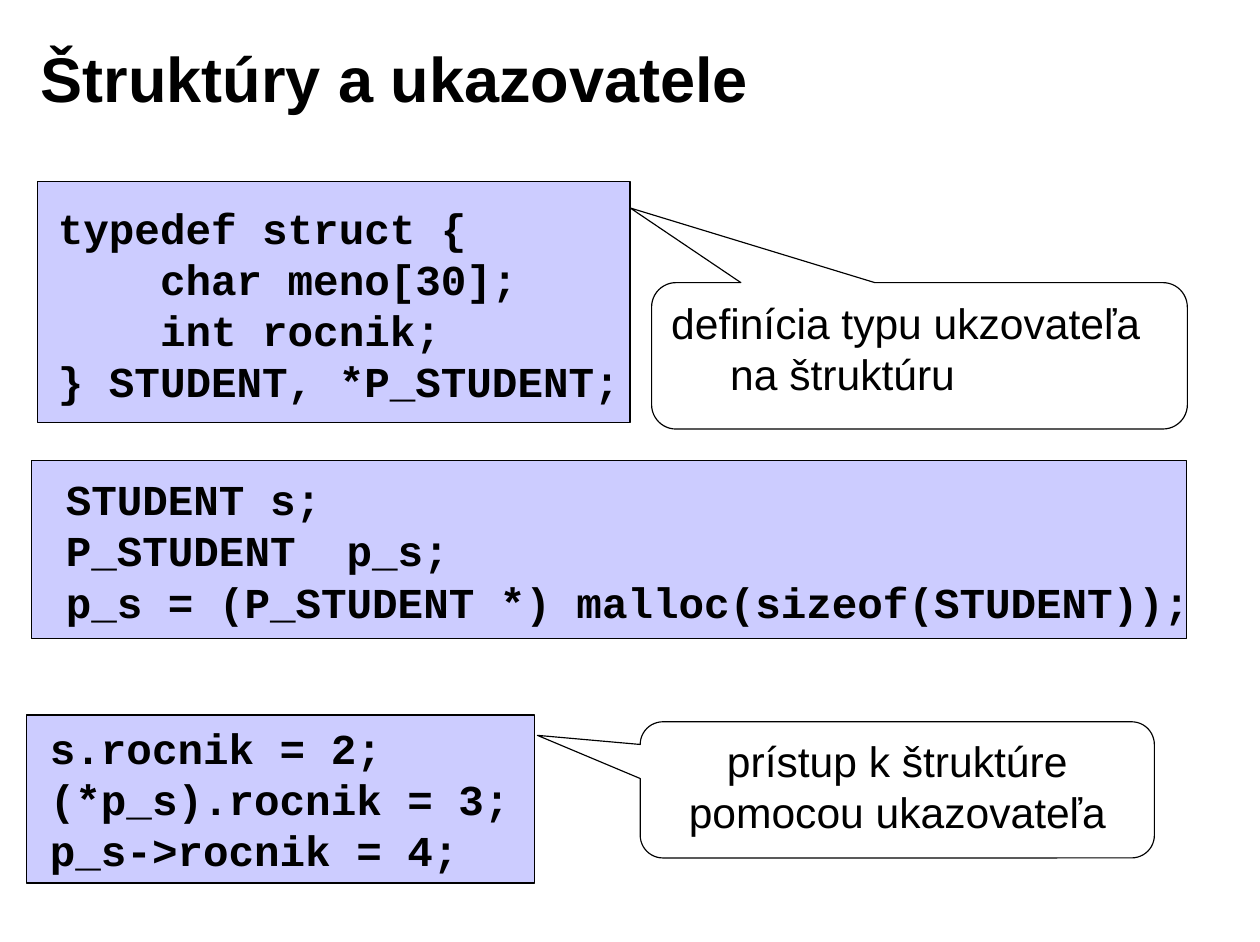
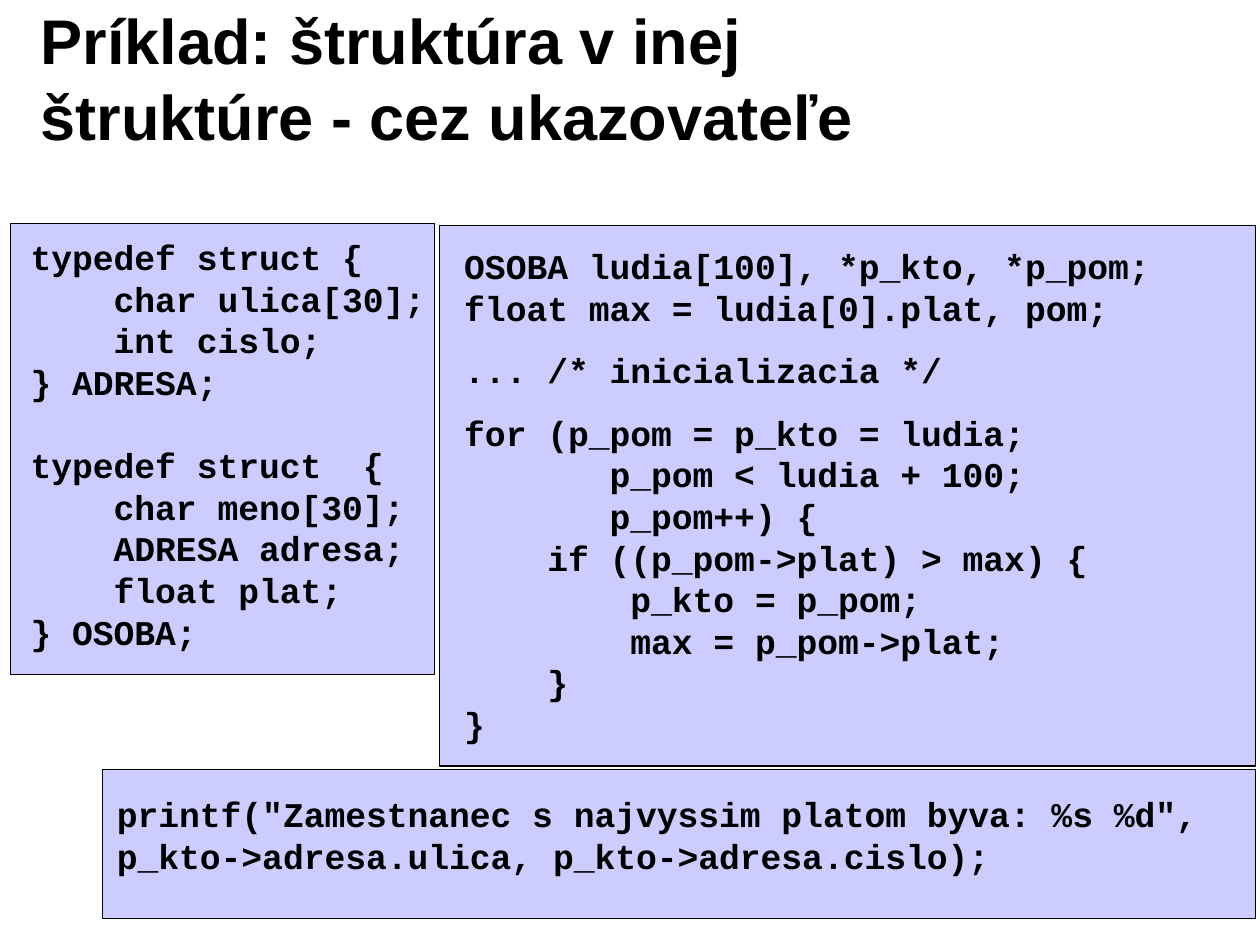
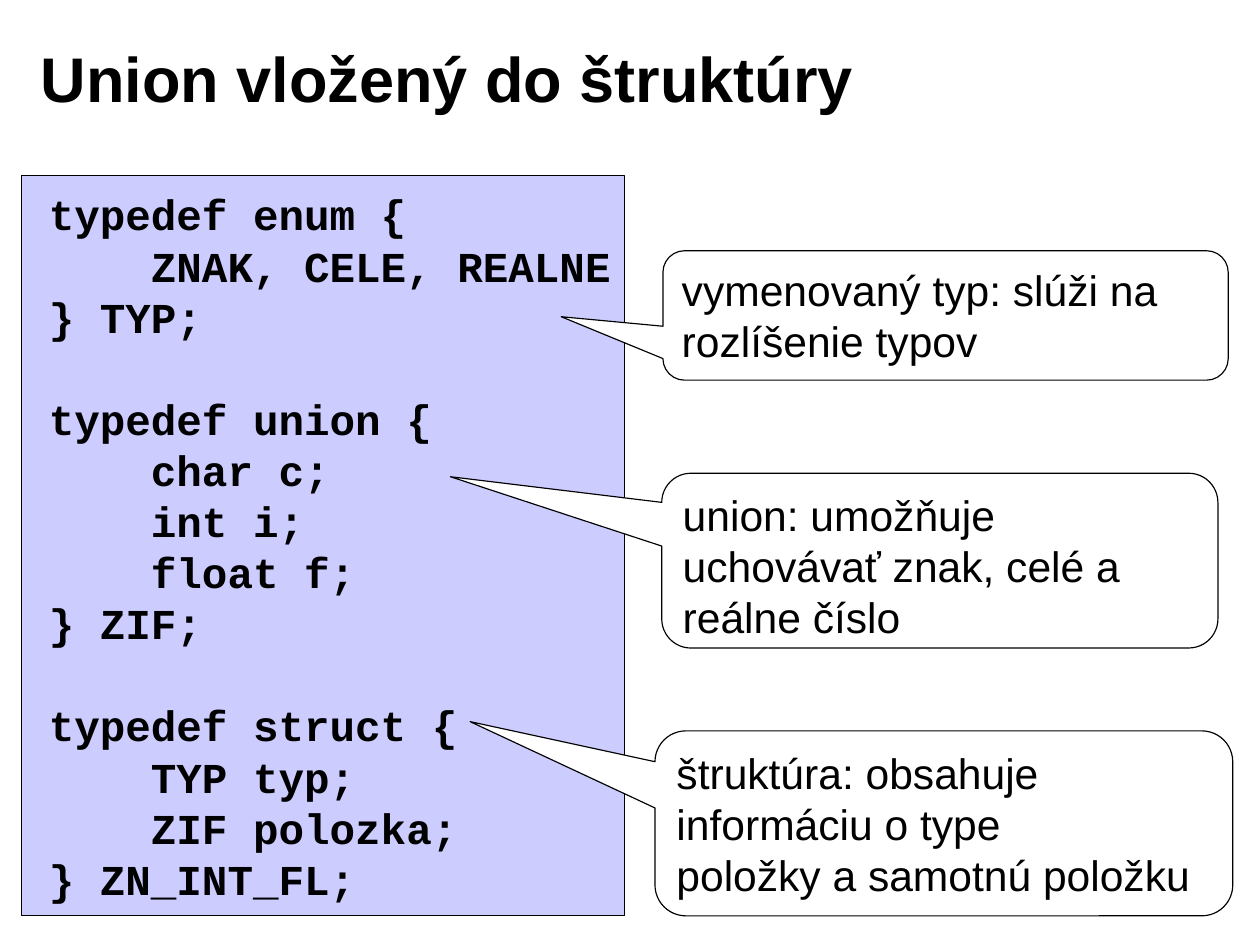
from pptx import Presentation
from pptx import util as u
from pptx.dml.color import RGBColor
from pptx.enum import shapes, text

BLACK = RGBColor(0x00, 0x00, 0x00)
WHITE = RGBColor(0xFF, 0xFF, 0xFF)
LAVENDER = RGBColor(0xCC, 0xCC, 0xFF)
BODY_FONT, CODE_FONT = "Arial", "Courier New"
TITLE_SIZE, LARGE, SMALL = 40, 27, 22
INSET_X, INSET_Y = 0.11, 0.06
LINE_PITCH = 1.2      # line height relative to the font size
GLYPH_WIDTH = 0.6     # width of a monospaced letter relative to the font size


def prepare_frame(frame, anchor=text.MSO_ANCHOR.TOP):
    frame.word_wrap = True
    frame.vertical_anchor = anchor
    frame.margin_left = frame.margin_right = u.Inches(INSET_X)
    frame.margin_top = frame.margin_bottom = u.Inches(INSET_Y)


def write(frame, content, size, font, bold=False, align=text.PP_ALIGN.LEFT):
    frame.text = content
    for paragraph in frame.paragraphs:
        paragraph.alignment = align
        for run in paragraph.runs:
            run.font.name, run.font.size = font, u.Pt(size)
            run.font.bold, run.font.color.rgb = bold, BLACK


def add_outlined(slide, preset, box, fill):
    outlined = slide.shapes.add_shape(preset, *map(u.Inches, box))
    outlined.shadow.inherit = False
    outlined.fill.solid()
    outlined.fill.fore_color.rgb = fill
    outlined.line.color.rgb = BLACK
    outlined.line.width = u.Pt(0.75)
    return outlined


def add_titled_slide(deck, heading):
    slide = deck.slides.add_slide(deck.slide_layouts[6])
    title = slide.shapes.add_textbox(*map(u.Inches, (0.25, 0.17, 8.91, 1.02)))
    prepare_frame(title.text_frame, text.MSO_ANCHOR.MIDDLE)
    write(title.text_frame, heading, TITLE_SIZE, BODY_FONT, True)
    return slide


def add_code(slide, panel, origin, size, blocks, gap_lines=1.0):
    """Draw a panel with blocks of code, set apart by gap_lines."""
    add_outlined(slide, shapes.MSO_SHAPE.RECTANGLE, panel, LAVENDER)
    blocks = [block.strip("\n") for block in blocks]
    lines = "\n".join(blocks).split("\n")
    width = max(map(len, lines)) * size * GLYPH_WIDTH / 72 + 2 * INSET_X + 0.05
    height = panel[1] + panel[3] - origin[1]
    listing = slide.shapes.add_textbox(*map(u.Inches, (*origin, width, height)))
    frame = listing.text_frame
    prepare_frame(frame)
    write(frame, "\n".join(lines), size, CODE_FONT, True)
    first_line = 0
    for block in blocks[:-1]:
        first_line += len(block.split("\n"))
        gap = u.Pt(size * LINE_PITCH * gap_lines)
        frame.paragraphs[first_line].space_before = gap


def add_callout(slide, box, tip, content, align=text.PP_ALIGN.LEFT):
    """Draw a speech bubble; tip is the pointer's offset from its centre."""
    bubble = add_outlined(
        slide, shapes.MSO_SHAPE.ROUNDED_RECTANGULAR_CALLOUT, box, WHITE)
    for index, value in enumerate((*tip, 0.167)):
        bubble.adjustments[index] = value
    prepare_frame(bubble.text_frame)
    write(bubble.text_frame, content, LARGE, BODY_FONT, align=align)
    return bubble


def build_pointers(deck):
    slide = add_titled_slide(deck, "Štruktúry a ukazovatele")
    add_code(slide, (0.33, 1.6, 5.22, 2.12), (0.4, 1.72), LARGE, ["""
typedef struct {
    char meno[30];
    int rocnik;
} STUDENT, *P_STUDENT;
"""])
    add_code(slide, (0.28, 4.06, 10.17, 1.57), (0.47, 4.11), LARGE, ["""
STUDENT s;
P_STUDENT  p_s;
p_s = (P_STUDENT *) malloc(sizeof(STUDENT));
"""])
    add_code(slide, (0.23, 6.3, 4.48, 1.48), (0.33, 6.3), LARGE, ["""
s.rocnik = 2;
(*p_s).rocnik = 3;
p_s->rocnik = 4;
"""])
    definition = add_callout(slide, (5.74, 2.49, 4.72, 1.29), (-0.54, -1.01),
                             "definícia typu ukzovateľa\nna štruktúru")
    # Indent the second line of the definition
    indented = definition.text_frame.paragraphs[1]._p.get_or_add_pPr()
    indented.set("marL", str(u.Inches(0.52)))
    add_callout(slide, (5.64, 6.36, 4.53, 1.2), (-0.7, -0.4),
                "prístup k štruktúre pomocou ukazovateľa",
                text.PP_ALIGN.CENTER)


def build_example(deck):
    slide = add_titled_slide(
        deck, "Príklad: štruktúra v inej štruktúre - cez ukazovateľe")
    add_code(slide, (0.09, 1.97, 3.74, 3.97), (0.16, 2.02), SMALL, ["""
typedef struct {
    char ulica[30];
    int cislo;
} ADRESA;
""", """
typedef struct  {
    char meno[30];
    ADRESA adresa;
    float plat;
} OSOBA;
"""])
    add_code(slide, (3.87, 1.99, 7.19, 4.76), (3.98, 2.1), SMALL, ["""
OSOBA ludia[100], *p_kto, *p_pom;
float max = ludia[0].plat, pom;
""", """
... /* inicializacia */
""", """
for (p_pom = p_kto = ludia;
       p_pom < ludia + 100;
       p_pom++) {
    if ((p_pom->plat) > max) {
        p_kto = p_pom;
        max = p_pom->plat;
    }
}
"""], gap_lines=0.5)
    add_code(slide, (0.9, 6.78, 10.16, 1.31), (0.92, 6.93), SMALL, ["""
printf("Zamestnanec s najvyssim platom byva: %s %d",
p_kto->adresa.ulica, p_kto->adresa.cislo);
"""])


def build_union(deck):
    slide = add_titled_slide(deck, "Union vložený do štruktúry")
    add_code(slide, (0.19, 1.55, 5.31, 6.52), (0.32, 1.6), LARGE, ["""
typedef enum {
    ZNAK, CELE, REALNE
} TYP;
""", """
typedef union {
    char c;
    int i;
    float f;
} ZIF;
""", """
typedef struct {
    TYP typ;
    ZIF polozka;
} ZN_INT_FL;
"""])
    add_callout(slide, (5.84, 2.21, 4.98, 1.14), (-0.68, 0.01),
                "vymenovaný typ: slúži na rozlíšenie typov")
    add_callout(slide, (5.83, 4.17, 4.9, 1.54), (-0.88, -0.48),
                "union: umožňuje uchovávať znak, celé a reálne číslo")
    add_callout(slide, (5.77, 6.44, 5.09, 1.63), (-0.82, -0.55),
                "štruktúra: obsahuje informáciu o type\n"
                "položky a samotnú položku")


def main():
    deck = Presentation()
    deck.slide_width, deck.slide_height = u.Inches(11.1), u.Inches(8.3)
    build_pointers(deck)
    build_example(deck)
    build_union(deck)
    deck.save("out.pptx")


if __name__ == "__main__":
    main()
